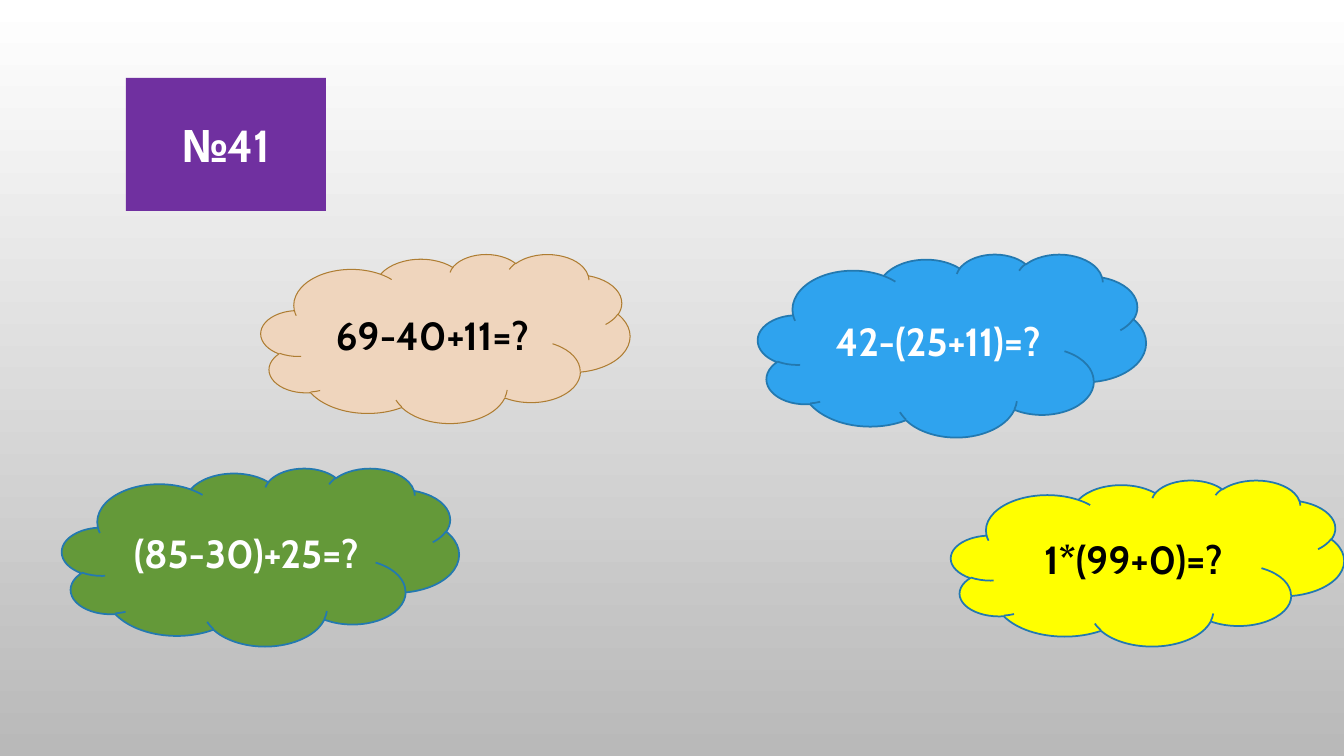
from dataclasses import dataclass

from lxml.etree import SubElement
from pptx import Presentation
from pptx.dml.color import RGBColor
from pptx.enum.shapes import MSO_SHAPE as Preset
from pptx.enum.text import MSO_ANCHOR as Anchor, MSO_AUTO_SIZE as AutoSize, PP_ALIGN as Align
from pptx.oxml.ns import qn
from pptx.util import Pt

EMU_PER_PX = 914400 / 100.8


@dataclass(frozen=True)
class Theme:
    """Colours, font and sizes of the slide."""
    font: str = "Cabin"
    title_size: int = 32
    task_size: int = 28
    white: str = "FFFFFF"
    black: str = "000000"
    gray: str = "B9B9B9"
    purple: str = "7030A0"
    peach: str = "EFD5BD"
    brown: str = "AE7D32"
    blue: str = "2FA3EE"
    dark_blue: str = "2379B0"
    yellow: str = "FFFF00"
    green: str = "649939"


THEME = Theme()

TASKS = [
    ("69-40+11=?", (261, 254, 369, 169), THEME.peach, THEME.black, THEME.brown, 0.75),
    ("42-(25+11)=?", (758, 254, 388, 183), THEME.blue, THEME.white, THEME.dark_blue, 1.25),
    ("1*(99+0)=?", (951, 480, 393, 166), THEME.yellow, THEME.black, THEME.dark_blue, 1.25),
    ("(85-30)+25=?", (62, 468, 397, 178), THEME.green, THEME.white, THEME.dark_blue, 1.25),
]


def px(length):
    """Turn pixels into EMU."""
    return round(length * EMU_PER_PX)


def fill_shape(shape, color):
    """Give a shape a plain fill."""
    shape.fill.solid()
    shape.fill.fore_color.rgb = RGBColor.from_string(color)


def set_label(shape, text, size, color):
    """Write one bold centred label in a shape."""
    frame = shape.text_frame
    frame.text = text
    frame.word_wrap = True
    frame.auto_size = AutoSize.NONE
    frame.vertical_anchor = Anchor.MIDDLE
    paragraph = frame.paragraphs[0]
    paragraph.alignment = Align.CENTER
    font = paragraph.runs[0].font
    font.name = THEME.font
    font.size = Pt(size)
    font.bold = True
    font.color.rgb = RGBColor.from_string(color)


def paint_background(slide):
    """Fade the background from white at the top to gray."""
    fill = slide.background.fill
    fill.gradient()
    fill.gradient_angle = 270
    for stop, position, color in zip(fill.gradient_stops, (0, 1), (THEME.white, THEME.gray)):
        stop.position = position
        stop.color.rgb = RGBColor.from_string(color)


def place_title(slide, text, box):
    """Turn the title into a rounded badge in the box."""
    title = slide.shapes.title
    title.left, title.top, title.width, title.height = map(px, box)
    geometry = SubElement(title.element.spPr, qn("a:prstGeom"), prst="roundRect")
    SubElement(geometry, qn("a:avLst"))
    fill_shape(title, THEME.purple)
    set_label(title, text, THEME.title_size, THEME.white)


def add_task_cloud(slide, text, box, fill, text_color, line_color, line_width):
    """Add a cloud with an arithmetic task in the box."""
    cloud = slide.shapes.add_shape(Preset.CLOUD, *map(px, box))
    cloud.shadow.inherit = False
    fill_shape(cloud, fill)
    cloud.line.color.rgb = RGBColor.from_string(line_color)
    cloud.line.width = Pt(line_width)
    set_label(cloud, text, THEME.task_size, text_color)


def main():
    """Build and save the slide."""
    presentation = Presentation()
    presentation.slide_width, presentation.slide_height = px(1344), px(756)
    slide = presentation.slides.add_slide(presentation.slide_layouts[5])
    paint_background(slide)
    place_title(slide, "№41", (126, 78, 200, 133))
    for task in TASKS:
        add_task_cloud(slide, *task)
    presentation.save("out.pptx")


if __name__ == "__main__":
    main()
